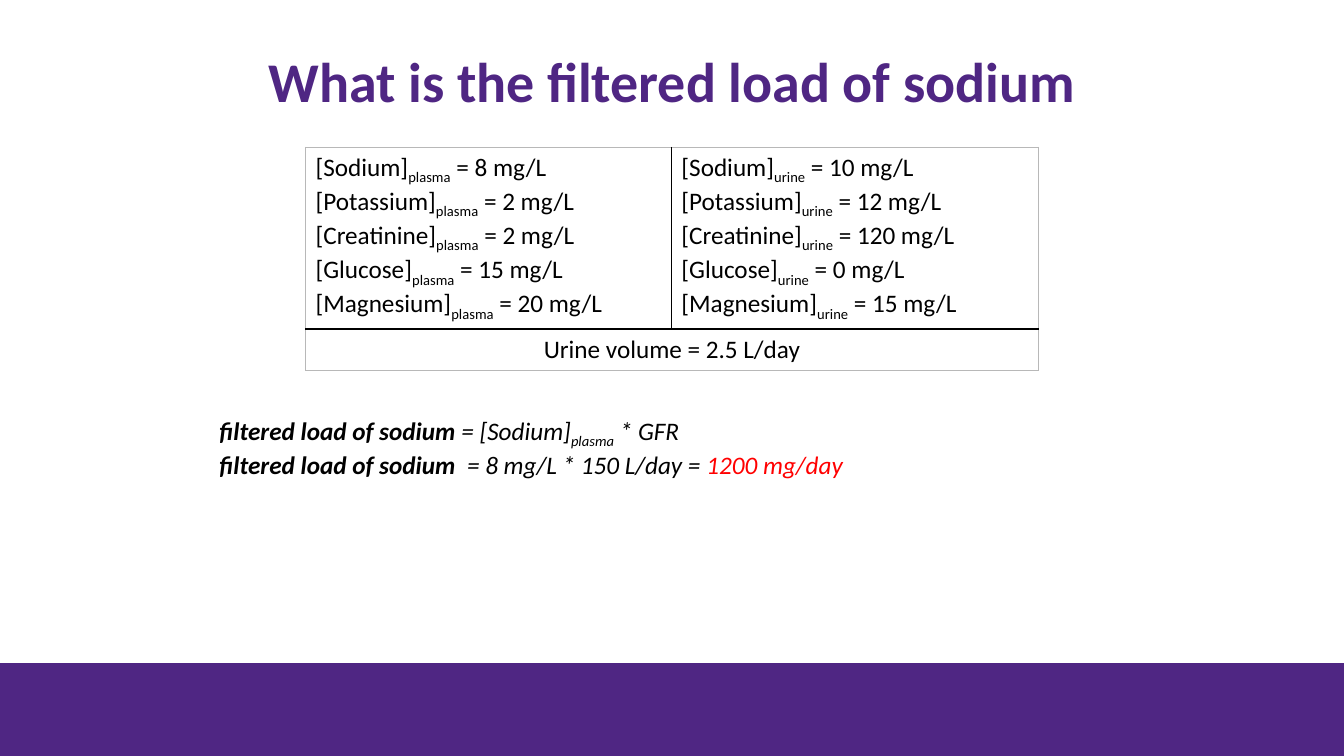
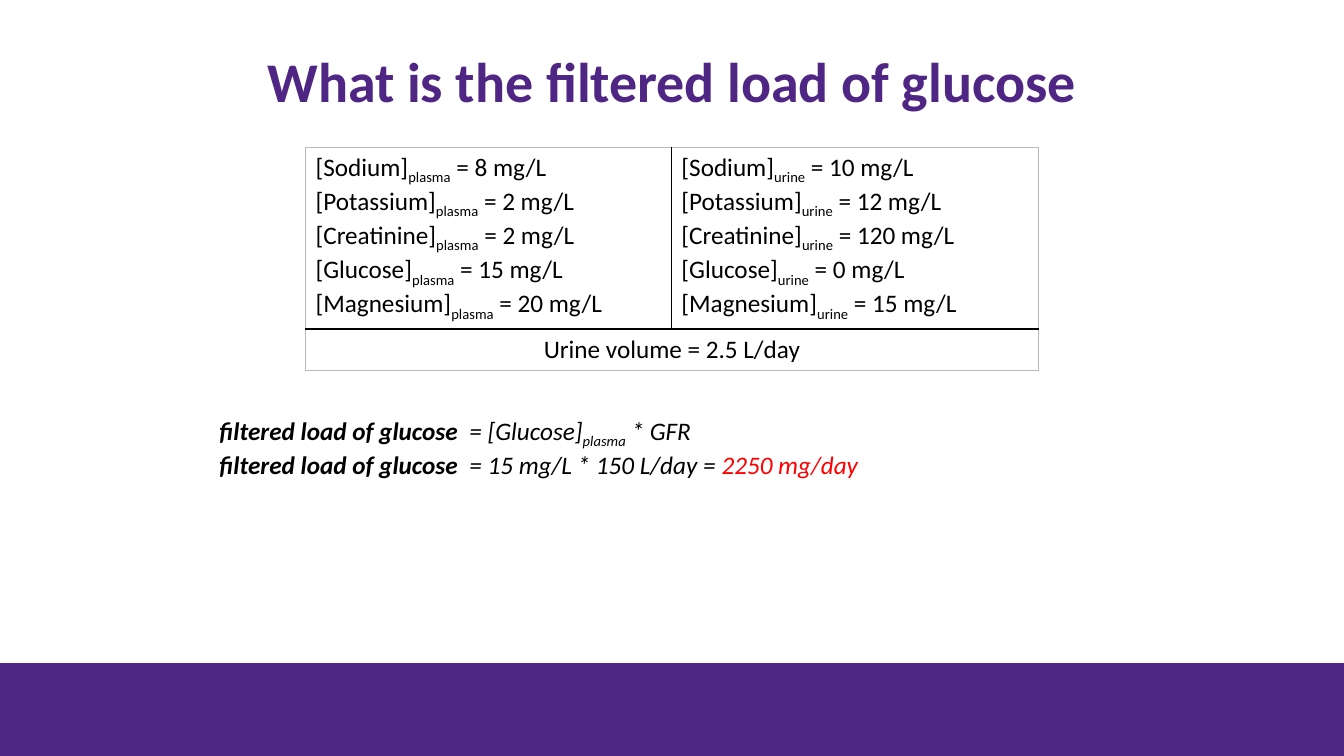
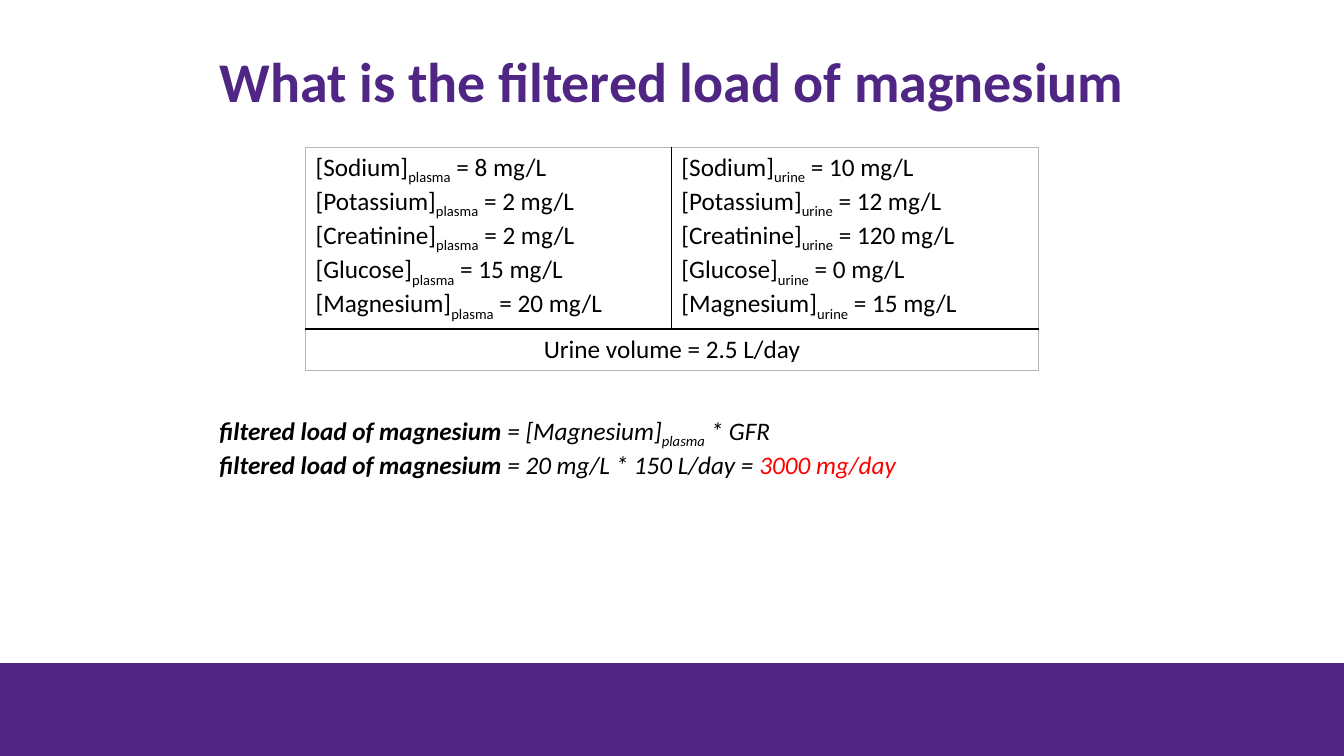
from dataclasses import dataclass

from lxml.etree import SubElement
from pptx import Presentation
from pptx.dml.color import RGBColor
from pptx.enum.shapes import MSO_SHAPE
from pptx.enum.text import MSO_ANCHOR, PP_ALIGN
from pptx.oxml.ns import qn
from pptx.slide import Slide
from pptx.table import _Cell
from pptx.text.text import TextFrame
from pptx.util import Cm, Pt


# Theme
@dataclass(frozen=True)
class Theme:
    font: str = "Calibri"
    purple: str = "4F2683"
    black: str = "000000"
    red: str = "FF0000"
    white: str = "FFFFFF"
    frame: str = "B8B8B8"
    title_size: int = 40
    body_size: int = 18


THEME = Theme()
PAGE_WIDTH, PAGE_HEIGHT = Cm(33.87), Cm(19.05)
BAND_HEIGHT = Cm(2.34)
GFR = 150


# Content
@dataclass(frozen=True)
class Solute:
    name: str
    plasma: int
    urine: int


@dataclass(frozen=True)
class Question:
    solute: Solute
    gaps: tuple[int, int]  # spaces after the label on each line
    width: float
    height: float


@dataclass(frozen=True)
class Span:
    text: str
    bold: bool = False
    italic: bool = False
    subscript: bool = False
    color: str = THEME.black
    size: int = THEME.body_size


@dataclass(frozen=True)
class Border:
    color: str
    width: float


SODIUM = Solute("Sodium", 8, 10)
GLUCOSE = Solute("Glucose", 15, 0)
MAGNESIUM = Solute("Magnesium", 20, 15)
SOLUTES = [SODIUM, Solute("Potassium", 2, 12), Solute("Creatinine", 2, 120), GLUCOSE, MAGNESIUM]
QUESTIONS = [
    Question(SODIUM, (1, 2), 23.98, 2.57),
    Question(GLUCOSE, (2, 2), 23.98, 1.8),
    Question(MAGNESIUM, (1, 1), 24.69, 1.8),
]

OUTER = Border(THEME.frame, 0.75)
DIVIDER = Border(THEME.black, 1)
RULE = Border(THEME.black, 1.5)


# Text
def write(frame: TextFrame, lines: list[list[Span]], **para_format) -> None:
    frame.word_wrap = True
    for index, spans in enumerate(lines):
        para = frame.paragraphs[0] if index == 0 else frame.add_paragraph()
        for name, value in para_format.items():
            setattr(para, name, value)
        for span in spans:
            run = para.add_run()
            run.text = span.text
            font_format = {"name": THEME.font, "size": Pt(span.size),
                           "bold": span.bold, "italic": span.italic}
            for name, value in font_format.items():
                setattr(run.font, name, value)
            run.font.color.rgb = RGBColor.from_string(span.color)
            if span.subscript:
                run._r.get_or_add_rPr().set("baseline", "-25000")


def concentration(solute: Solute, fluid: str) -> list[Span]:
    return [Span(f"[{solute.name}]"), Span(fluid, subscript=True),
            Span(f" = {getattr(solute, fluid)} mg/L")]


# Shared frame of every page
def add_page(deck: Presentation, title: str) -> Slide:
    page = deck.slides.add_slide(deck.slide_layouts[6])
    page.background.fill.solid()
    page.background.fill.fore_color.rgb = RGBColor.from_string(THEME.white)
    box = page.shapes.add_textbox(Cm(2.33), Cm(0.56), Cm(29.21), Cm(3.15))
    box.text_frame.vertical_anchor = MSO_ANCHOR.MIDDLE
    write(box.text_frame, [[Span(title, bold=True, color=THEME.purple, size=THEME.title_size)]],
          alignment=PP_ALIGN.CENTER, line_spacing=0.9)
    band = page.shapes.add_shape(MSO_SHAPE.RECTANGLE, 0, PAGE_HEIGHT - BAND_HEIGHT,
                                 PAGE_WIDTH, BAND_HEIGHT)
    band.shadow.inherit = False
    band.fill.solid()
    band.fill.fore_color.rgb = RGBColor.from_string(THEME.purple)
    band.line.fill.background()
    return page


# Table of concentrations
def style_cell(cell: _Cell, left: Border, right: Border, top: Border, bottom: Border) -> None:
    properties = cell._tc.get_or_add_tcPr()
    for tag, border in (("a:lnL", left), ("a:lnR", right), ("a:lnT", top), ("a:lnB", bottom)):
        line = SubElement(properties, qn(tag), w=str(Pt(border.width)))
        fill = SubElement(line, qn("a:solidFill"))
        SubElement(fill, qn("a:srgbClr"), val=border.color)
    cell.fill.background()


def add_concentrations(page: Slide) -> None:
    table = page.shapes.add_table(2, 2, Cm(7.7), Cm(3.71), Cm(18.47), Cm(5.6)).table
    table.first_row = table.horz_banding = False
    for row, height in zip(table.rows, (4.57, 1.03)):
        row.height = Cm(height)
    for column, width in zip(table.columns, (9.22, 9.25)):
        column.width = Cm(width)
    for index, fluid in enumerate(("plasma", "urine")):
        left, right = (OUTER, DIVIDER) if index == 0 else (DIVIDER, OUTER)
        cell = table.cell(0, index)
        write(cell.text_frame, [concentration(solute, fluid) for solute in SOLUTES])
        style_cell(cell, left, right, OUTER, RULE)
        style_cell(table.cell(1, index), OUTER, OUTER, RULE, OUTER)
    volume = table.cell(1, 0)
    volume.merge(table.cell(1, 1))
    write(volume.text_frame, [[Span("Urine volume = 2.5 L/day")]], alignment=PP_ALIGN.CENTER)


# Worked answer
def add_answer(page: Slide, question: Question) -> None:
    solute = question.solute
    first, second = (Span(f"filtered load of {solute.name.lower()}" + " " * gap,
                          bold=True, italic=True) for gap in question.gaps)
    box = page.shapes.add_textbox(Cm(5.28), Cm(10.34), Cm(question.width), Cm(question.height))
    write(box.text_frame, [
        [first, Span(f"= [{solute.name}]", italic=True),
         Span("plasma", italic=True, subscript=True), Span(" * GFR", italic=True)],
        [second, Span(f"= {solute.plasma} mg/L * {GFR} L/day = ", italic=True),
         Span(f"{solute.plasma * GFR} mg/day", italic=True, color=THEME.red)],
    ])


def main() -> None:
    deck = Presentation()
    deck.slide_width, deck.slide_height = PAGE_WIDTH, PAGE_HEIGHT
    for question in QUESTIONS:
        page = add_page(deck, f"What is the filtered load of {question.solute.name.lower()}")
        add_concentrations(page)
        add_answer(page, question)
    deck.save("out.pptx")


if __name__ == "__main__":
    main()
